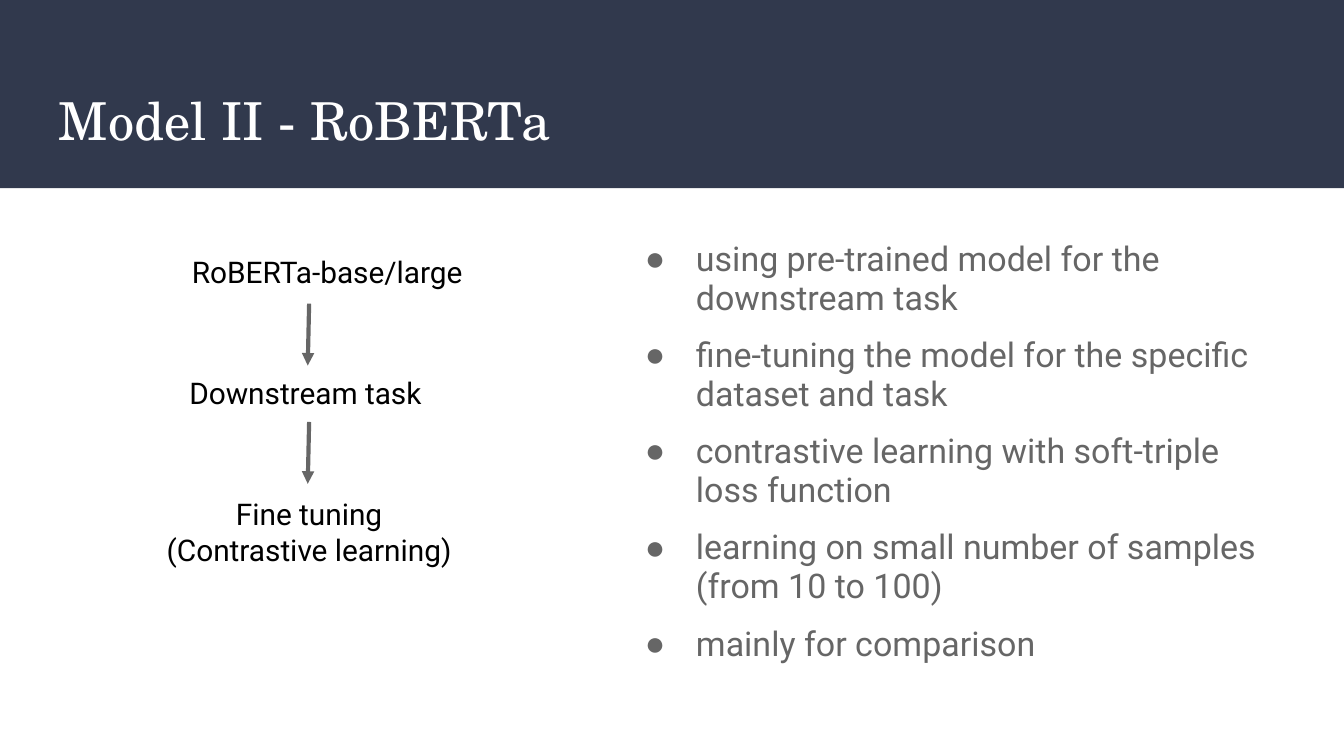
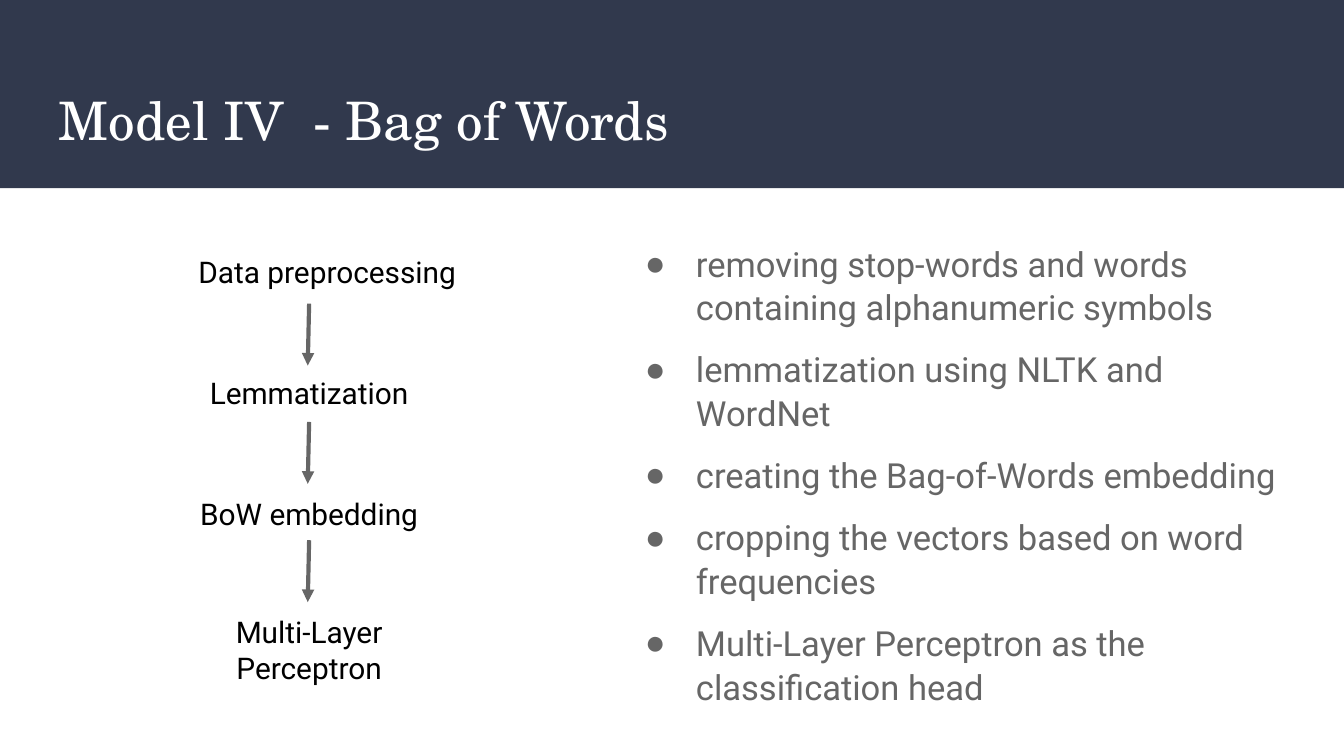
from lxml import etree
from pptx import Presentation
from pptx.dml.color import RGBColor
from pptx.enum import shapes, text
from pptx.oxml import ns
from pptx.util import Inches, Pt

NAVY, WHITE, GRAY, BLACK = "31394D", "FFFFFF", "666666", "000000"
SERIF, SANS, BULLET_FONT = "TeX Gyre Schola", "Roboto", "Arial"
INSET = 0.1
STEP_TOPS = (0, 0.9, 1.8, 2.68)
ARROW_PITCH = 0.88

SLIDES = [
    dict(
        title="Model II - RoBERTa", title_size=28,
        steps=["RoBERTa-base/large", "Downstream task ",
               "Fine tuning\n(Contrastive learning)"],
        bullets=["using pre-trained model for the downstream task",
                 "fine-tuning the model for the specific dataset and task",
                 "contrastive learning with soft-triple loss function",
                 "learning on small number of samples (from 10 to 100)",
                 "mainly for comparison"],
        bullet_size=18.2, spacing=0.95,
    ),
    dict(
        title="Model IV  - Bag of Words", title_size=28.4,
        steps=["Data preprocessing", "Lemmatization", "BoW embedding",
               "Multi-Layer Perceptron"],
        bullets=["removing stop-words and words containing alphanumeric symbols",
                 "lemmatization using NLTK and WordNet",
                 "creating the Bag-of-Words embedding",
                 "cropping the vectors based on word frequencies",
                 "Multi-Layer Perceptron as the classification head"],
        bullet_size=18.5, spacing=1.05,
    ),
]


def color(value):
    return RGBColor.from_string(value)


def sub(parent, tag, **attrs):
    return etree.SubElement(parent, ns.qn(tag), attrs)


def add_text(s, content, box, size, font=SANS, fill=BLACK, align=None,
             anchor=text.MSO_ANCHOR.TOP):
    sp = s.shapes.add_textbox(*map(Inches, box))
    tf = sp.text_frame
    tf.word_wrap = True
    tf.vertical_anchor = anchor
    tf.margin_left = tf.margin_right = Inches(INSET)
    tf.margin_top = tf.margin_bottom = Inches(INSET)
    tf.text = content
    for p in tf.paragraphs:
        p.alignment = align
        for r in p.runs:
            r.font.size = Pt(size)
            r.font.name = font
            r.font.color.rgb = color(fill)
    return tf


def add_arrow(s, x, y):
    line = s.shapes.add_connector(
        shapes.MSO_CONNECTOR.STRAIGHT,
        *map(Inches, (x, y, x - 0.01, y + 0.46)))
    line.line.color.rgb = color(GRAY)
    line.line.width = Pt(2.25)
    sub(line.line._get_or_add_ln(), "a:tailEnd", type="triangle")
    sub(line._element.spPr, "a:effectLst")


def add_header(s, title, size, box):
    x, y, w, h = box
    band = s.shapes.add_shape(shapes.MSO_SHAPE.RECTANGLE, *map(Inches, box))
    band.shadow.inherit = False
    band.fill.solid()
    band.fill.fore_color.rgb = color(NAVY)
    band.line.fill.background()
    add_text(s, title, (x + 0.34, y + 0.55, w - 0.68, 0.68), size,
             font=SERIF, fill=WHITE, anchor=text.MSO_ANCHOR.MIDDLE)


def add_flow(s, steps, box):
    x, y, w, h = box
    for i, (step, top) in enumerate(zip(steps, STEP_TOPS)):
        left, width = (x + 0.17, w - 0.07) if i == 0 else (x, w)
        height = 0.74 if len(step) > 20 else 0.47
        add_text(s, step, (left, y + top, width, height), 16,
                 align=text.PP_ALIGN.CENTER)
    for i in range(len(steps) - 1):
        add_arrow(s, x + w / 2, y + 0.47 + i * ARROW_PITCH)


def add_bullets(s, items, size, spacing, box):
    tf = add_text(s, "\n".join(items), box, size, fill=GRAY)
    for i, p in enumerate(tf.paragraphs):
        p.line_spacing = spacing
        p.space_before = Pt(10 if i else 0)
        pPr = p._p.get_or_add_pPr()
        pPr.set("marL", str(Inches(0.5)))
        pPr.set("indent", str(Inches(-0.38)))
        sub(sub(pPr, "a:buClr"), "a:srgbClr", val=GRAY)
        sub(pPr, "a:buFont", typeface=BULLET_FONT)
        sub(pPr, "a:buChar", char="●")


def add_model_slide(prs, title, title_size, steps, bullets, bullet_size, spacing):
    s = prs.slides.add_slide(prs.slide_layouts[6])
    add_header(s, title, title_size, (0, 0, 10, 1.4))
    add_bullets(s, bullets, bullet_size, spacing, (4.58, 1.69, 5.08, 3.83))
    add_flow(s, steps, (1.09, 1.79, 2.42, 3.42))


def main():
    prs = Presentation()
    prs.slide_width = Inches(10)
    prs.slide_height = prs.slide_width * 9 // 16
    for slide in SLIDES:
        add_model_slide(prs, **slide)
    prs.save("out.pptx")


if __name__ == "__main__":
    main()
